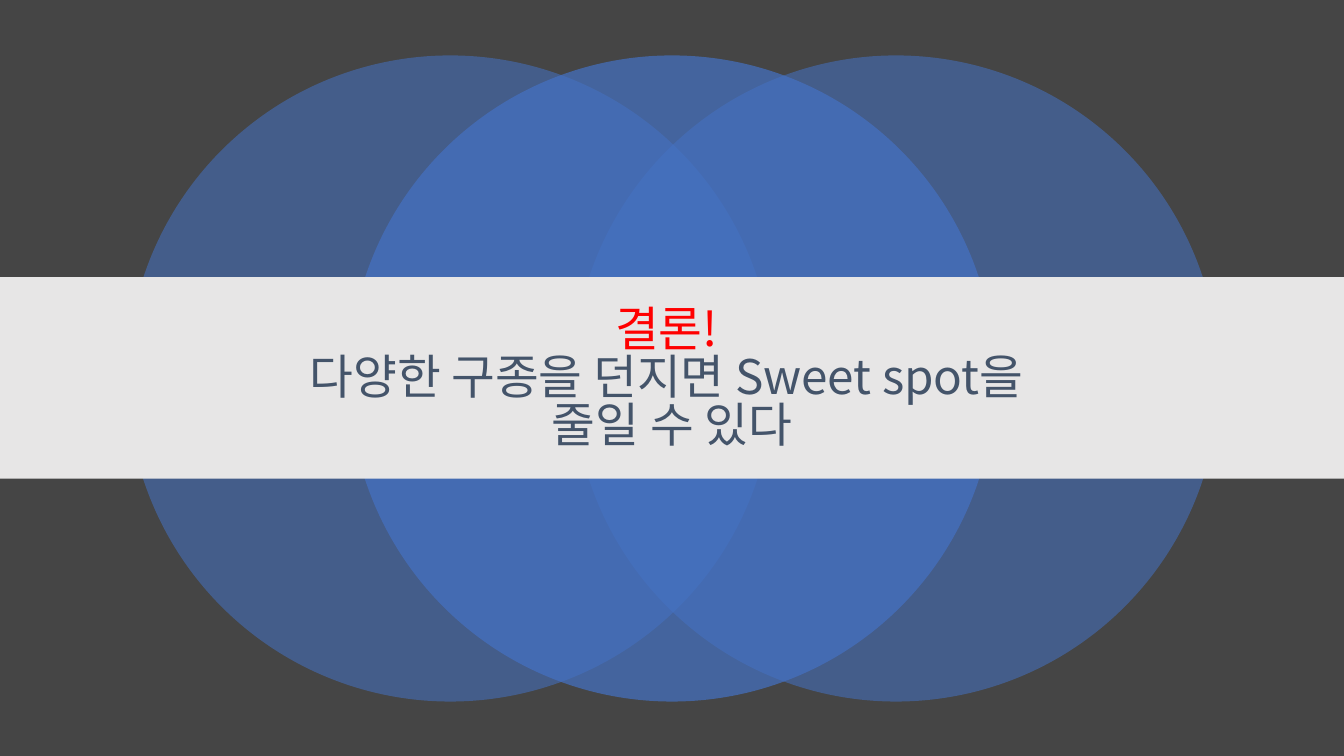
from dataclasses import dataclass

from lxml import etree
from pptx import Presentation
from pptx import util as u
from pptx.dml.color import RGBColor
from pptx.enum import shapes, text
from pptx.oxml.ns import qn

COLORS = {"bg": "454545", "circle": "4472C4", "band": "E7E6E6",
          "accent": "FF0000", "body": "44546A"}
FONT = "Noto Sans CJK KR"

# Grid: 6 columns by 15 rows
WIDTH, HEIGHT = u.Inches(13.33), u.Inches(7.5)
COL, ROW = WIDTH / 6, HEIGHT / 15
DIAMETER = 12.82 * ROW


@dataclass
class Circle:
    center_col: float
    opacity: int  # percent


@dataclass
class Line:
    words: str
    color: str


CIRCLES = [Circle(2.01, 55), Circle(4, 55), Circle(3, 70)]
LINES = [Line("결론! ", "accent"),
         Line("다양한 구종을 던지면 Sweet spot을 ", "body"),
         Line("줄일 수 있다", "body")]


def rgb(name: str) -> RGBColor:
    return RGBColor.from_string(COLORS[name])


def set_all(target, values: dict) -> None:
    for key, value in values.items():
        setattr(target, key, value)


def add_filled(parent, kind, box: tuple, color: str):
    sp = parent.add_shape(kind, *(u.Emu(round(v)) for v in box))
    sp.shadow.inherit = False
    sp.fill.solid()
    sp.fill.fore_color.rgb = rgb(color)
    sp.line.fill.background()
    return sp


def add_circle(parent, circle: Circle) -> None:
    box = (circle.center_col * COL - DIAMETER / 2, 7.51 * ROW - DIAMETER / 2,
           DIAMETER, DIAMETER)
    sp = add_filled(parent, shapes.MSO_SHAPE.OVAL, box, "circle")
    clr = sp._element.spPr.find(qn("a:solidFill"))[0]
    etree.SubElement(clr, qn("a:alpha"), val=str(circle.opacity * 1000))


def write_line(p, line: Line) -> None:
    set_all(p, {"alignment": text.PP_ALIGN.CENTER, "line_spacing": 0.7,
                "space_before": u.Pt(0), "space_after": u.Pt(6)})
    r = p.add_run()
    r.text = line.words
    set_all(r.font, {"name": FONT, "size": u.Pt(34)})
    r.font.color.rgb = rgb(line.color)
    etree.SubElement(r.font._element, qn("a:ea"), typeface=FONT)


def main() -> None:
    prs = Presentation()
    prs.slide_width, prs.slide_height = WIDTH, HEIGHT
    s = prs.slides.add_slide(prs.slide_layouts[5])
    s.background.fill.solid()
    s.background.fill.fore_color.rgb = rgb("bg")

    # Overlapping circles
    group = s.shapes.add_group_shape()
    for circle in CIRCLES:
        add_circle(group.shapes, circle)

    # Band across the middle
    add_filled(s.shapes, shapes.MSO_SHAPE.RECTANGLE,
               (0, 5.5 * ROW, WIDTH, 4 * ROW), "band")

    # Conclusion, brought in front of the band
    title = s.shapes.title
    s.shapes._spTree.append(title._element)
    place = {"left": 0.75 * COL, "top": 6.08 * ROW,
             "width": 4.5 * COL, "height": 3.02 * ROW}
    set_all(title, {key: u.Emu(round(v)) for key, v in place.items()})
    tf = title.text_frame
    set_all(tf, {"word_wrap": True, "auto_size": text.MSO_AUTO_SIZE.NONE,
                 "vertical_anchor": text.MSO_ANCHOR.MIDDLE})
    for i, line in enumerate(LINES):
        write_line(tf.add_paragraph() if i else tf.paragraphs[0], line)

    prs.save("out.pptx")


if __name__ == "__main__":
    main()
